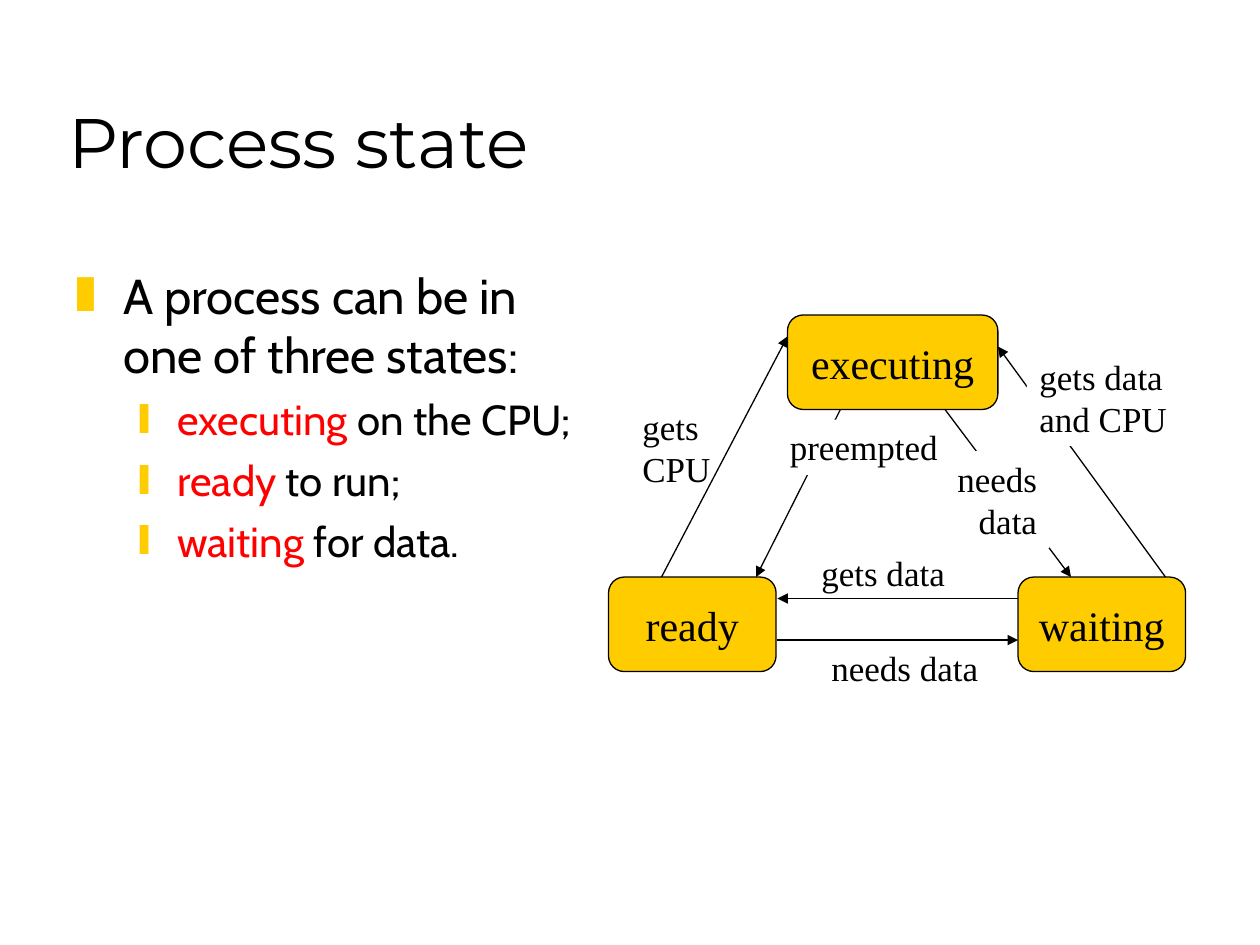
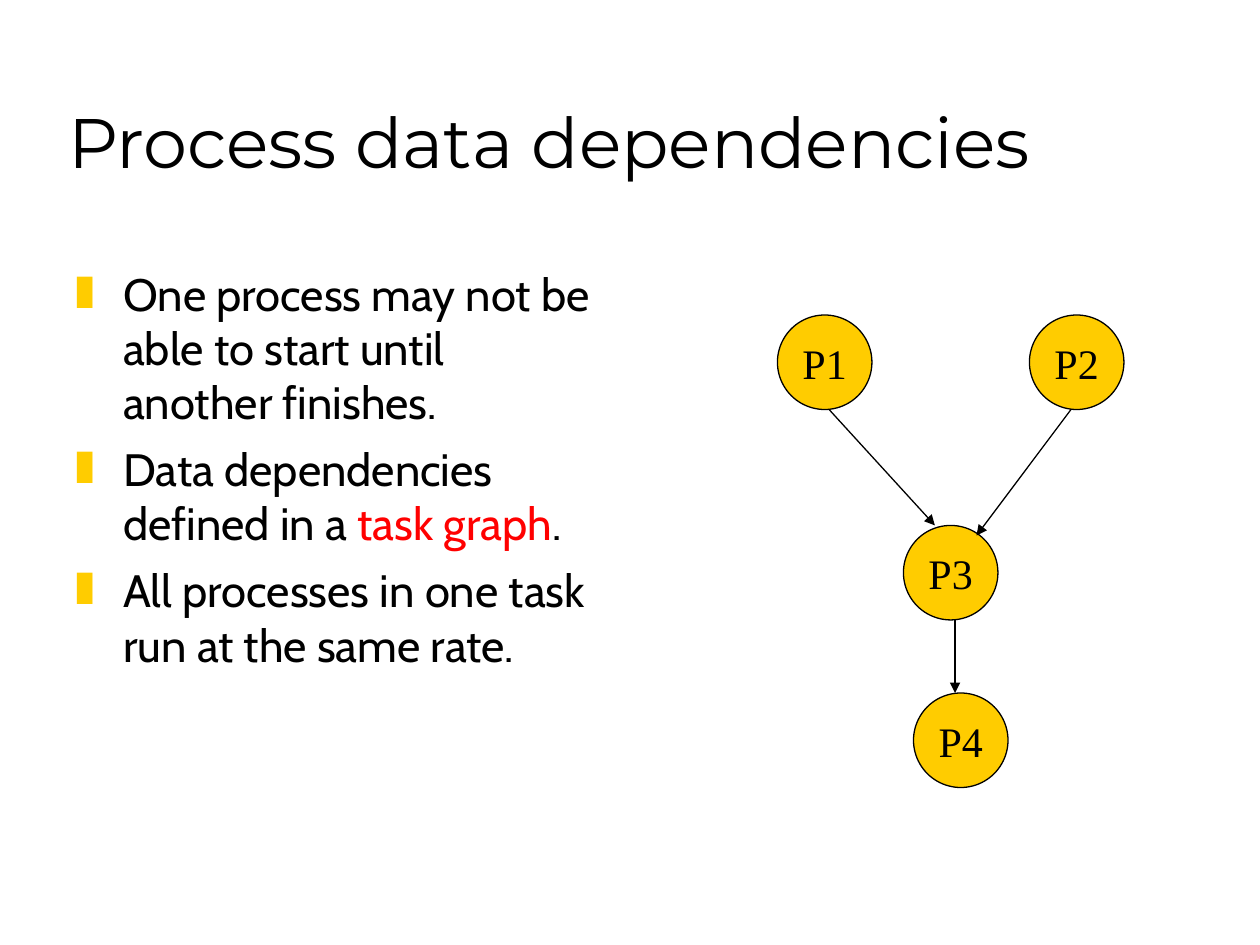
from lxml import etree
from pptx import Presentation
from pptx.dml.color import RGBColor
from pptx.enum import shapes, text
from pptx.oxml import ns
from pptx.util import Inches, Pt

BLACK = RGBColor(0x00, 0x00, 0x00)
WHITE = RGBColor(0xFF, 0xFF, 0xFF)
GOLD = RGBColor(0xFF, 0xCC, 0x00)
RED = RGBColor(0xFF, 0x00, 0x00)

TITLE_FONT = "Montserrat"
BODY_FONT = "Cabin"
DIAGRAM_FONT = "Times New Roman"

LEFT, CENTER, RIGHT = text.PP_ALIGN.LEFT, text.PP_ALIGN.CENTER, text.PP_ALIGN.RIGHT
BULLET_LEVELS = [
    {"symbol": "❚", "margin": 0.38, "hanging": 0.38, "space": 7},
    {"symbol": "❙", "margin": 0.81, "hanging": 0.31, "space": 6},
]


def write_text(paragraph, content, *, size, font, color=BLACK, align=LEFT):
    """Fill a paragraph, with every second part between asterisks in red."""
    paragraph.alignment = align
    for index, part in enumerate(content.split("*")):
        if part:
            run = paragraph.add_run()
            run.text = part
            run.font.size = Pt(size)
            run.font.name = font
            run.font.color.rgb = RED if index % 2 else color


def paragraphs_for(frame, items):
    """Yield one paragraph of the frame with each item."""
    for index, item in enumerate(items):
        yield (frame.add_paragraph() if index else frame.paragraphs[0]), item


def add_titled_slide(presentation, title):
    """Add a title-only slide with the shared title style."""
    slide = presentation.slides.add_slide(presentation.slide_layouts[5])
    shape = slide.shapes.title
    shape.left, shape.top = Inches(0.44), Inches(0.25)
    shape.width, shape.height = Inches(8.5), Inches(1.25)
    frame = shape.text_frame
    frame.auto_size = text.MSO_AUTO_SIZE.NONE
    frame.vertical_anchor = text.MSO_ANCHOR.BOTTOM
    write_text(frame.paragraphs[0], title, size=40, font=TITLE_FONT)
    return slide


def set_bullet(paragraph, symbol, margin, hanging):
    """Give a paragraph a gold bullet and a hanging indent."""
    properties = paragraph._p.get_or_add_pPr()
    properties.set("marL", str(Inches(margin)))
    properties.set("indent", str(-Inches(hanging)))
    bullet_color = etree.SubElement(properties, ns.qn("a:buClr"))
    etree.SubElement(bullet_color, ns.qn("a:srgbClr"), val=str(GOLD))
    etree.SubElement(properties, ns.qn("a:buFont"), typeface=DIAGRAM_FONT)
    etree.SubElement(properties, ns.qn("a:buChar"), char=symbol)


def add_bullets(slide, items, sizes):
    """Add the left column of (level, content) bullets, sized by level."""
    box = slide.shapes.add_textbox(Inches(0.5), Inches(2.06), Inches(4.39), Inches(4.56))
    frame = box.text_frame
    frame.word_wrap = True
    for index, (paragraph, (level, content)) in enumerate(paragraphs_for(frame, items)):
        style = BULLET_LEVELS[level]
        paragraph.level = level
        paragraph.space_before = Pt(style["space"] if index else 0)
        set_bullet(paragraph, style["symbol"], style["margin"], style["hanging"])
        write_text(paragraph, content, size=sizes[level], font=BODY_FONT)


def add_node(slide, kind, name, left, top, width=0.75):
    """Add a gold diagram node with a centred name."""
    node = slide.shapes.add_shape(kind, Inches(left), Inches(top), Inches(width), Inches(0.75))
    node.shadow.inherit = False
    node.fill.solid()
    node.fill.fore_color.rgb = GOLD
    node.line.color.rgb = BLACK
    node.line.width = Pt(0.75)
    frame = node.text_frame
    frame.word_wrap = False
    frame.vertical_anchor = text.MSO_ANCHOR.MIDDLE
    write_text(frame.paragraphs[0], name, size=24, font=DIAGRAM_FONT, align=CENTER)


def add_arrow(slide, start, end):
    """Add a thin straight arrow between two points."""
    arrow = slide.shapes.add_connector(
        shapes.MSO_CONNECTOR.STRAIGHT, *(Inches(value) for value in start + end))
    arrow.line.color.rgb = BLACK
    arrow.line.width = Pt(0.75)
    etree.SubElement(arrow.line._get_or_add_ln(), ns.qn("a:tailEnd"), type="triangle")
    etree.SubElement(arrow._element.spPr, ns.qn("a:effectLst"))


def add_label(slide, lines, left, top, width, *, filled=False, align=LEFT):
    """Add an arrow label with an inset only on the side it aligns to."""
    height = 0.44 if len(lines) == 1 else 0.77
    label = slide.shapes.add_textbox(Inches(left), Inches(top), Inches(width), Inches(height))
    if filled:
        label.fill.solid()
        label.fill.fore_color.rgb = WHITE
    frame = label.text_frame
    frame.word_wrap = True
    frame.auto_size = text.MSO_AUTO_SIZE.NONE
    if align == RIGHT:
        frame.margin_left = 0
    else:
        frame.margin_right = 0
    for paragraph, line in paragraphs_for(frame, lines):
        write_text(paragraph, line, size=20, font=DIAGRAM_FONT, align=align)


def build_process_state(presentation):
    """Build the slide with the three process states."""
    slide = add_titled_slide(presentation, "Process state")
    add_bullets(slide, [
        (0, "A process can be in one of three states:"),
        (1, "*executing* on the CPU;"),
        (1, "*ready* to run;"),
        (1, "*waiting* for data."),
    ], sizes=(28, 24))
    for name, left, top, width in [
        ("executing", 6.25, 2.5, 1.67),
        ("ready", 4.83, 4.58, 1.33),
        ("waiting", 8.08, 4.58, 1.33),
    ]:
        add_node(slide, shapes.MSO_SHAPE.ROUNDED_RECTANGLE, name, left, top, width)
    for start, end in [
        ((6.67, 3.25), (6, 4.58)),
        ((5.25, 4.58), (6.25, 2.67)),
        ((6.17, 5.08), (8.08, 5.08)),
        ((8.08, 4.75), (6.17, 4.75)),
        ((7.5, 3.25), (8.5, 4.58)),
        ((9.25, 4.58), (7.92, 2.75)),
    ]:
        add_arrow(slide, start, end)
    add_label(slide, ["gets data", "and CPU"], 8.15, 2.77, 1.21, filled=True)
    add_label(slide, ["needs", "data"], 7.5, 3.58, 0.83, filled=True, align=RIGHT)
    add_label(slide, ["gets data"], 6.42, 4.33, 1.18)
    add_label(slide, ["needs data"], 6.5, 5.08, 1.36)
    add_label(slide, ["preempted"], 6.17, 3.33, 1.37, filled=True)
    add_label(slide, ["gets", "CPU"], 5, 3.17, 0.74)


def build_data_dependencies(presentation):
    """Build the slide with the task graph."""
    slide = add_titled_slide(presentation, "Process data dependencies")
    add_bullets(slide, [
        (0, "One process may not be able to start until another finishes."),
        (0, "Data dependencies defined in a *task graph*."),
        (0, "All processes in one task run at the same rate."),
    ], sizes=(25.9,))
    for name, left, top in [
        ("P1", 6.17, 2.5), ("P2", 8.17, 2.5), ("P3", 7.17, 4.17), ("P4", 7.25, 5.5),
    ]:
        add_node(slide, shapes.MSO_SHAPE.OVAL, name, left, top)
    for start, end in [
        ((6.58, 3.25), (7.42, 4.17)),
        ((8.5, 3.25), (7.75, 4.25)),
        ((7.58, 4.92), (7.58, 5.5)),
    ]:
        add_arrow(slide, start, end)


def main():
    """Build and save the presentation."""
    presentation = Presentation()
    presentation.slide_width, presentation.slide_height = Inches(10), Inches(7.5)
    build_process_state(presentation)
    build_data_dependencies(presentation)
    presentation.save("out.pptx")


if __name__ == "__main__":
    main()
